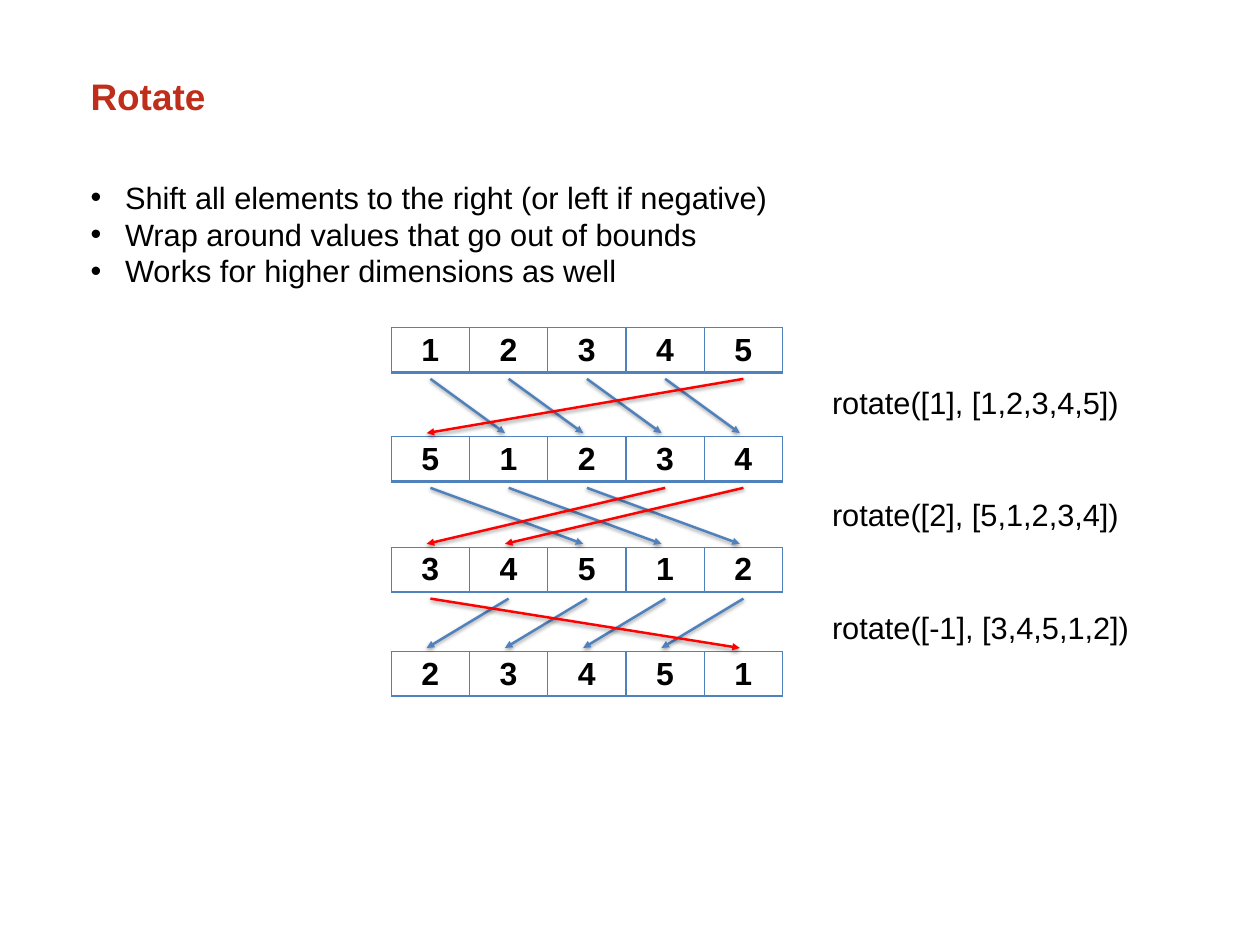
from lxml.etree import SubElement
from pptx import Presentation
from pptx.dml.color import RGBColor
from pptx.enum.shapes import MSO_CONNECTOR
from pptx.enum.text import MSO_ANCHOR, MSO_AUTO_SIZE, PP_ALIGN
from pptx.oxml import parse_xml
from pptx.oxml.ns import nsdecls, qn
from pptx.util import Pt

BLACK = RGBColor(0x00, 0x00, 0x00)
TITLE_RED = RGBColor(0xBE, 0x2E, 0x1A)
BLUE = RGBColor(0x4F, 0x81, 0xBD)
WRAP_RED = RGBColor(0xFF, 0x00, 0x00)

TITLE_FONT = {"size": Pt(30), "bold": True}
BODY_FONT = {"size": Pt(25), "bold": False}
CELL_FONT = {"size": Pt(26), "bold": True}
BORDERS = {"a:lnL": 1, "a:lnR": 1, "a:lnT": 1, "a:lnB": 2}

BULLETS = [
    "Shift all elements to the right (or left if negative)",
    "Wrap around values that go out of bounds",
    "Works for higher dimensions as well",
]
ARRAYS = [
    [1, 2, 3, 4, 5],
    [5, 1, 2, 3, 4],
    [3, 4, 5, 1, 2],
    [2, 3, 4, 5, 1],
]
SHIFTS = [1, 2, -1]
ARRAY_TOPS = [266.4, 355, 445, 529.6]
CELL_WIDTH, CELL_HEIGHT = 63.6, 36
GAP_BELOW, GAP_ABOVE = 5.5, 3
TIP_OFFSET = -3


def style_text(paragraph, font_values, color, align=PP_ALIGN.LEFT):
    paragraph.alignment = align
    for name, value in font_values.items():
        setattr(paragraph.font, name, value)
    paragraph.font.name = "Arial"
    paragraph.font.color.rgb = color


def set_frame(shape, left, top, width, height):
    """Place a text shape and give its text a small margin, top anchored."""
    box = {"left": left, "top": top, "width": width, "height": height}
    for side, length in box.items():
        setattr(shape, side, Pt(length))
    frame = shape.text_frame
    for side in ("left", "right", "top", "bottom"):
        setattr(frame, f"margin_{side}", Pt(3))
    frame.word_wrap = True
    frame.auto_size = MSO_AUTO_SIZE.NONE
    frame.vertical_anchor = MSO_ANCHOR.TOP
    return frame


def write_lines(frame, lines, gap):
    frame.text = "\n".join(lines)
    for number, paragraph in enumerate(frame.paragraphs):
        style_text(paragraph, BODY_FONT, BLACK)
        paragraph.line_spacing = 1.0
        paragraph.space_before = Pt(gap if number else 0)


def fill_title(title, *box):
    frame = set_frame(title, *box)
    frame.text = "Rotate"
    style_text(frame.paragraphs[0], TITLE_FONT, TITLE_RED)


def fill_bullets(body, *box):
    frame = set_frame(body, *box)
    write_lines(frame, BULLETS, 0)
    for paragraph in frame.paragraphs:
        properties = paragraph._p.get_or_add_pPr()
        properties.set("marL", str(Pt(28)))
        properties.set("indent", str(Pt(-28)))
        SubElement(properties, qn("a:buChar")).set("char", "•")


def set_borders(cell):
    properties = cell._tc.get_or_add_tcPr()
    for position, (tag, width) in enumerate(BORDERS.items()):
        properties.insert(position, parse_xml(
            f'<{tag} {nsdecls("a")} w="{Pt(width)}"><a:solidFill>'
            f'<a:srgbClr val="{BLUE}"/></a:solidFill></{tag}>'))


def add_array(slide, values, left, top):
    table = slide.shapes.add_table(
        1, len(values), Pt(left), Pt(top),
        Pt(CELL_WIDTH * len(values)), Pt(CELL_HEIGHT)).table
    table.first_row = table.horz_banding = False
    for cell, value in zip(table.iter_cells(), values):
        cell.text = str(value)
        cell.fill.background()
        style_text(cell.text_frame.paragraphs[0], CELL_FONT, BLACK, PP_ALIGN.CENTER)
        set_borders(cell)


def add_arrow(slide, start, end, color):
    arrow = slide.shapes.add_connector(
        MSO_CONNECTOR.STRAIGHT, *(Pt(length) for length in (*start, *end)))
    arrow.line.width = Pt(2)
    arrow.line.color.rgb = color
    SubElement(arrow.line._ln, qn("a:tailEnd")).set("type", "triangle")


def add_rotation_arrows(slide, shift, count, left, top, bottom):
    """Join each column to its new place, with wrapped values in red on top."""
    targets = [(column, column + shift) for column in range(count)]
    targets.sort(key=lambda pair: pair[1] not in range(count))
    for column, target in targets:
        start = (left + CELL_WIDTH * (column + 0.5), top + GAP_BELOW)
        end = (left + CELL_WIDTH * (target % count + 0.5) + TIP_OFFSET,
               bottom - GAP_ABOVE)
        add_arrow(slide, start, end, BLUE if target in range(count) else WRAP_RED)


def add_calls(slide, *box):
    calls = [f"rotate([{shift}], [{','.join(map(str, values))}])"
             for shift, values in zip(SHIFTS, ARRAYS)]
    calls_box = slide.shapes.add_textbox(*(Pt(length) for length in box))
    write_lines(set_frame(calls_box, *box), calls, 61.4)


def add_rotations(slide, left):
    """Draw the arrays, the arrows between them and the calls beside them."""
    for values, top in zip(ARRAYS, ARRAY_TOPS):
        add_array(slide, values, left, top)
    for shift, values, above, below in zip(SHIFTS, ARRAYS, ARRAY_TOPS, ARRAY_TOPS[1:]):
        add_rotation_arrows(slide, shift, len(values), left,
                            above + CELL_HEIGHT, below)
    add_calls(slide, left + 355.2, 308.9, 280, 296)


def main():
    deck = Presentation()
    deck.slide_width, deck.slide_height = Pt(1024), Pt(768)
    slide = deck.slides.add_slide(deck.slide_layouts[1])
    fill_title(slide.shapes.title, 70.6, 57, 878.4, 85)
    fill_bullets(slide.placeholders[1], 70.6, 142, 878.4, 481.6)
    add_rotations(slide, 318)
    deck.save("out.pptx")


if __name__ == "__main__":
    main()
